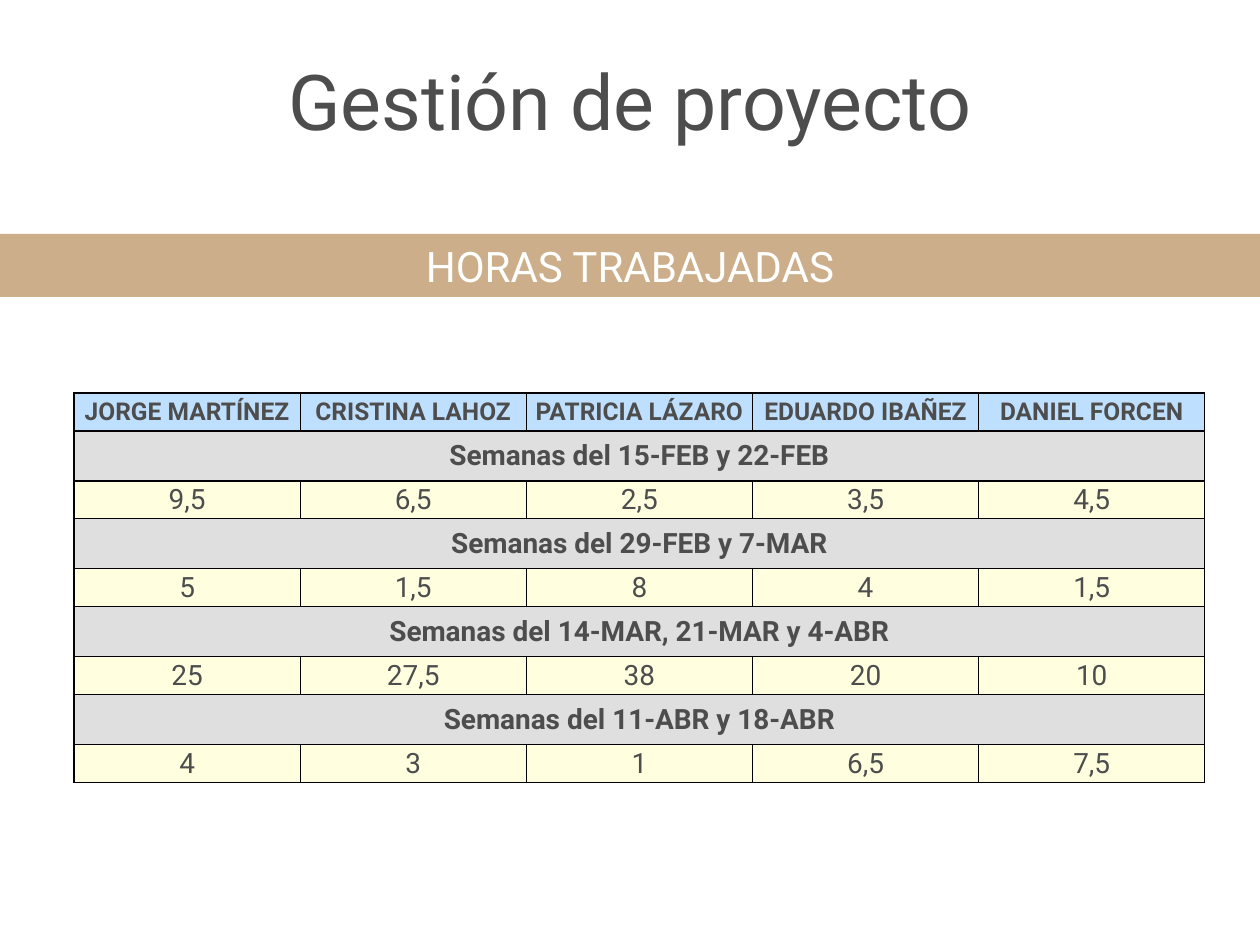
from lxml import etree
from pptx import Presentation, util as u
from pptx.dml.color import RGBColor
from pptx.enum import shapes, text
from pptx.oxml import ns

PX_PER_INCH = 126
FONT = "Roboto"
DARK, WHITE, BLACK = "4D4D4D", "FFFFFF", "000000"
TAN, BLUE, GREY, CREAM = "AA7B3C", "BFDFFF", "DFDFDF", "FFFFE0"

PEOPLE = ["JORGE MARTÍNEZ", "CRISTINA LAHOZ", "PATRICIA LÁZARO",
          "EDUARDO IBAÑEZ", "DANIEL FORCEN"]
PERIODS = [
    ("Semanas del 15-FEB y 22-FEB", ["9,5", "6,5", "2,5", "3,5", "4,5"]),
    ("Semanas del 29-FEB y 7-MAR", ["5", "1,5", "8", "4", "1,5"]),
    ("Semanas del 14-MAR, 21-MAR y 4-ABR", ["25", "27,5", "38", "20", "10"]),
    ("Semanas del 11-ABR y 18-ABR", ["4", "3", "1", "6,5", "7,5"]),
]
ROW_HEIGHT, PERIOD_HEIGHT = 38, 50


def px(length):
    return u.Emu(round(length * u.Inches(1) / PX_PER_INCH))


def color(hex_code):
    return RGBColor.from_string(hex_code)


def set_fill(target, hex_code):
    target.fill.solid()
    target.fill.fore_color.rgb = color(hex_code)


def write(frame, words, size, hex_code, bold=False):
    """Put one centred paragraph in a text frame."""
    frame.word_wrap = True
    frame.vertical_anchor = text.MSO_ANCHOR.MIDDLE
    paragraph = frame.paragraphs[0]
    paragraph.text = words
    paragraph.alignment = text.PP_ALIGN.CENTER
    font = paragraph.font
    font.name, font.size, font.bold = FONT, u.Pt(size), bold
    font.color.rgb = color(hex_code)


def add_title(slide, left, top, width, height):
    box = slide.shapes.add_textbox(px(left), px(top), px(width), px(height))
    write(box.text_frame, "Gestión de proyecto", 44, DARK)


def add_banner(slide, left, top, width, height):
    banner = slide.shapes.add_shape(shapes.MSO_SHAPE.RECTANGLE,
                                    px(left), px(top), px(width), px(height))
    banner.shadow.inherit = False
    banner.line.fill.background()
    set_fill(banner, TAN)
    tint = banner.fill._xPr.find(".//" + ns.qn("a:srgbClr"))
    etree.SubElement(tint, ns.qn("a:alpha"), val="60000")
    write(banner.text_frame, "HORAS TRABAJADAS", 24, WHITE)


def add_borders(cell):
    properties = cell._tc.get_or_add_tcPr()
    for side in ("lnL", "lnR", "lnT", "lnB"):
        line = etree.SubElement(properties, ns.qn("a:" + side), w=str(u.Pt(0.75)))
        fill = etree.SubElement(line, ns.qn("a:solidFill"))
        etree.SubElement(fill, ns.qn("a:srgbClr"), val=BLACK)


def fill_row(table, index, height, words, size, fill, bold):
    """Write a row; a single text spans the whole row."""
    table.rows[index].height = px(height)
    cells = list(table.rows[index].cells)
    for cell in cells:
        add_borders(cell)
        set_fill(cell, fill)
    if len(words) == 1:
        cells[0].merge(cells[-1])
    for cell, value in zip(cells, words):
        cell.vertical_anchor = text.MSO_ANCHOR.MIDDLE
        if len(words) > 1:
            cell.margin_left = cell.margin_right = px(1)
            cell.margin_top = cell.margin_bottom = 0
        write(cell.text_frame, value, size, DARK, bold)


def add_hours_table(slide, left, top, width):
    height = ROW_HEIGHT + len(PERIODS) * (ROW_HEIGHT + PERIOD_HEIGHT)
    table = slide.shapes.add_table(1 + 2 * len(PERIODS), len(PEOPLE), px(left),
                                   px(top), px(width), px(height)).table
    table.first_row = table.horz_banding = False
    fill_row(table, 0, ROW_HEIGHT, PEOPLE, 14, BLUE, True)
    for number, (period, hours) in enumerate(PERIODS):
        row = 1 + 2 * number
        fill_row(table, row, PERIOD_HEIGHT, [period], 16, GREY, True)
        fill_row(table, row + 1, ROW_HEIGHT, hours, 16, CREAM, False)


def main():
    presentation = Presentation()
    presentation.slide_width, presentation.slide_height = px(1260), px(945)
    slide = presentation.slides.add_slide(presentation.slide_layouts[6])
    set_fill(slide.background, WHITE)
    add_title(slide, 0, 45, 1260, 110)
    add_banner(slide, 0, 234, 1260, 63)
    add_hours_table(slide, 74, 393, 1131)
    presentation.save("out.pptx")


if __name__ == "__main__":
    main()
